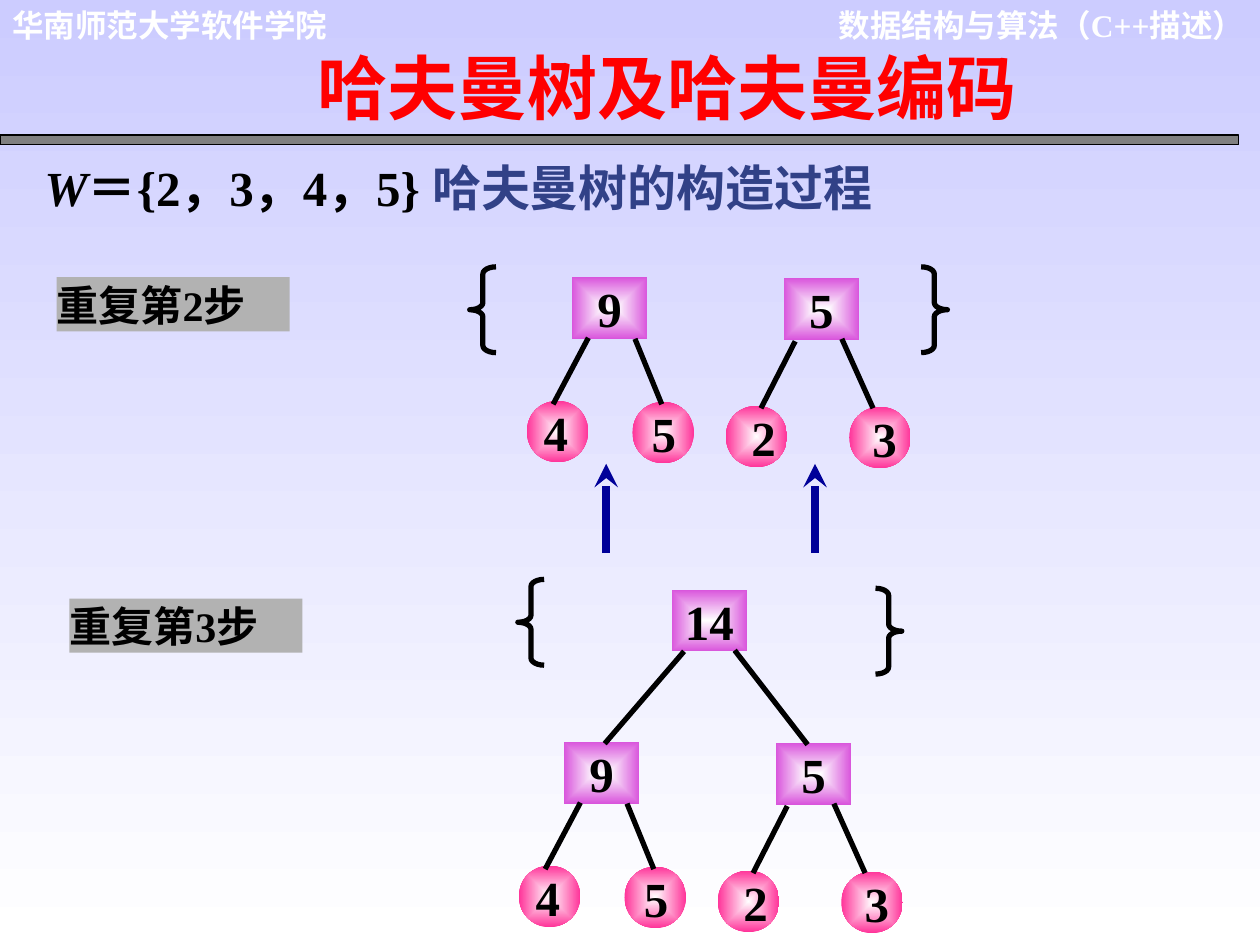
from typing import NamedTuple

from lxml import etree
from pptx import Presentation
from pptx.dml.color import RGBColor
from pptx.enum.shapes import MSO_CONNECTOR, MSO_SHAPE
from pptx.enum.text import MSO_ANCHOR, MSO_AUTO_SIZE, PP_ALIGN
from pptx.oxml.ns import qn
from pptx.util import Cm, Pt

LEFT, CENTER, RIGHT = PP_ALIGN.LEFT, PP_ALIGN.CENTER, PP_ALIGN.RIGHT
TOP, MIDDLE = MSO_ANCHOR.TOP, MSO_ANCHOR.MIDDLE
RECTANGLE, OVAL = MSO_SHAPE.RECTANGLE, MSO_SHAPE.OVAL
LEFT_BRACE, RIGHT_BRACE = MSO_SHAPE.LEFT_BRACE, MSO_SHAPE.RIGHT_BRACE
STRAIGHT = MSO_CONNECTOR.STRAIGHT
NO_AUTOFIT = MSO_AUTO_SIZE.NONE

LATIN, CHINESE = "Times New Roman", "Noto Sans CJK SC"
COLORS = {
    "sky": "CCCCFF", "white": "FFFFFF", "black": "000000", "rule": "808080",
    "label": "B2B2B2", "title": "FF0000", "topic": "314187",
    "arrow": "000099", "leaf": "FF3399", "root": "D955DC",
}


class Box(NamedTuple):
    left: float
    top: float
    width: float
    height: float


class Leaf(NamedTuple):
    value: str
    left: float
    top: float
    label_shift: float


class Edge(NamedTuple):
    x1: float
    y1: float
    x2: float
    y2: float


class Tree(NamedTuple):
    value: str
    left: float
    top: float
    leaves: tuple[Leaf, ...]
    edges: tuple[Edge, ...]


PAIR_TREES = (
    Tree("9", 11.53, 5.59,
         (Leaf("4", 10.62, 8.08, 0.05), Leaf("5", 12.75, 8.1, 0.1)),
         (Edge(11.86, 6.81, 11.15, 8.15), Edge(12.8, 6.83, 13.34, 8.15))),
    Tree("5", 15.8, 5.61,
         (Leaf("2", 14.63, 8.18, 0.23), Leaf("3", 17.12, 8.2, 0.18)),
         (Edge(16.03, 6.88, 15.34, 8.23), Edge(16.97, 6.83, 17.6, 8.23))),
)
MERGED_TREE = Tree("14", 13.54, 11.89, (),
                   (Edge(13.79, 13.13, 12.19, 14.99), Edge(14.81, 13.11, 16.28, 15.01)))
STEP_3_SHIFT = (-0.16, 9.37)


def rgb(name: str) -> RGBColor:
    return RGBColor.from_string(COLORS[name])


def set_gradient(fill, start: str, end: str) -> None:
    fill.gradient()
    for stop, name in zip(fill.gradient_stops, (start, end)):
        stop.color.rgb = rgb(name)


def style_font(font, size: float, color: str, name: str = LATIN) -> None:
    font.size, font.bold, font.name = Pt(size), True, name
    font.color.rgb = rgb(color)
    east_asian = etree.SubElement(font._element, qn("a:ea"))
    east_asian.set("typeface", CHINESE)


def place(shape, box: Box) -> None:
    shape.left, shape.top, shape.width, shape.height = map(Cm, box)


def write(shape, text: str, size: float, color: str, align=LEFT, anchor=TOP,
          font_name: str = LATIN, margins=(0.25, 0.13)) -> None:
    frame = shape.text_frame
    frame.word_wrap, frame.auto_size, frame.vertical_anchor = True, NO_AUTOFIT, anchor
    frame.margin_left = frame.margin_right = Cm(margins[0])
    frame.margin_top = frame.margin_bottom = Cm(margins[1])
    paragraph = frame.paragraphs[0]
    paragraph.text, paragraph.alignment = text, align
    paragraph.space_before = Pt(0)
    style_font(paragraph.font, size, color, font_name)


def add_text(slide, box: Box, *args, **options) -> None:
    write(slide.shapes.add_textbox(*map(Cm, box)), *args, **options)


def add_plain_shape(slide, kind, box: Box):
    shape = slide.shapes.add_shape(kind, *map(Cm, box))
    shape.shadow.inherit = False
    shape.line.fill.background()
    return shape


def add_solid(slide, box: Box, color: str):
    shape = add_plain_shape(slide, RECTANGLE, box)
    shape.fill.solid()
    shape.fill.fore_color.rgb = rgb(color)
    return shape


def add_glowing(slide, kind, box: Box, color: str):
    """Add a shape that fades from a white centre to its colour."""
    shape = add_plain_shape(slide, kind, box)
    set_gradient(shape.fill, "white", color)
    gradient = shape._element.spPr.find(qn("a:gradFill"))
    gradient.remove(gradient.find(qn("a:lin")))
    radial = etree.SubElement(gradient, qn("a:path"), {"path": "rect"})
    etree.SubElement(radial, qn("a:fillToRect"), dict.fromkeys("ltrb", "50000"))
    return shape


def add_line(slide, edge: Edge, color: str = "black", width: float = 3, arrow: bool = False) -> None:
    connector = slide.shapes.add_connector(STRAIGHT, *map(Cm, edge))
    connector.line.color.rgb = rgb(color)
    connector.line.width = Pt(width)
    if arrow:
        etree.SubElement(connector.line._get_or_add_ln(), qn("a:tailEnd"), {"type": "stealth"})
    etree.SubElement(connector._element.spPr, qn("a:effectLst"))


def add_brace(slide, kind, left: float, top: float) -> None:
    brace = add_plain_shape(slide, kind, Box(left, top, 0.53, 1.73))
    brace.adjustments[0] = 0.27
    brace.fill.background()
    brace.line.color.rgb = rgb("black")
    brace.line.width = Pt(3)


def add_tree(slide, tree: Tree, shift: tuple[float, float] = (0, 0)) -> None:
    dx, dy = shift
    root = add_glowing(slide, RECTANGLE, Box(tree.left + dx, tree.top + dy, 1.52, 1.24), "root")
    write(root, tree.value, 28, "black", CENTER, MIDDLE, margins=(0, 0))
    for leaf in tree.leaves:
        left, top = leaf.left + dx, leaf.top + dy
        add_glowing(slide, OVAL, Box(left, top, 1.24, 1.24), "leaf")
        add_text(slide, Box(left + leaf.label_shift, top + 0.04, 1.07, 1.45),
                 leaf.value, 28, "black", CENTER, margins=(0, 0))
    for x1, y1, x2, y2 in tree.edges:
        add_line(slide, Edge(x1 + dx, y1 + dy, x2 + dx, y2 + dy))


def fill_formula(body) -> None:
    place(body, Box(0.64, 3.05, 23.5, 1.45))
    frame = body.text_frame
    frame.auto_size = NO_AUTOFIT
    paragraph = frame.paragraphs[0]
    properties = paragraph._p.get_or_add_pPr()
    properties.set("marL", "0")
    properties.set("indent", "0")
    etree.SubElement(properties, qn("a:buNone"))
    paragraph.space_before = Pt(0)
    for text, color in (("W", "black"), ("＝{2，3，4，5} ", "black"), ("哈夫曼树的构造过程", "topic")):
        run = paragraph.add_run()
        run.text = text
        run.font.italic = text == "W"
        style_font(run.font, 28, color)


def main() -> None:
    presentation = Presentation()
    presentation.slide_width, presentation.slide_height = Cm(25.4), Cm(19.05)
    slide = presentation.slides.add_slide(presentation.slide_layouts[1])
    set_gradient(slide.background.fill, "sky", "white")
    slide.background.fill.gradient_angle = 270

    # Header
    add_text(slide, Box(15.93, 0, 9.4, 1.02), "数据结构与算法（C++描述）", 18, "white", RIGHT)
    add_text(slide, Box(0, 0, 6.88, 1.02), "华南师范大学软件学院", 18, "white", font_name="Arial")
    rule = add_solid(slide, Box(0, 2.72, 24.97, 0.2), "rule")
    rule.line.color.rgb = rgb("black")
    rule.line.width = Pt(0.75)

    # Title and formula
    title, body = slide.placeholders
    place(title, Box(3.66, 0.76, 19.58, 1.96))
    write(title, "哈夫曼树及哈夫曼编码", 40, "title", CENTER)
    fill_formula(body)

    # Step labels
    for text, left, top in (("重复第2步", 1.14, 5.59), ("重复第3步", 1.4, 12.07)):
        label = add_solid(slide, Box(left, top, 4.7, 1.09), "label")
        write(label, text, 24, "black", anchor=MIDDLE, margins=(0, 0))

    # Trees of both steps
    for shift in ((0, 0), STEP_3_SHIFT):
        for tree in PAIR_TREES:
            add_tree(slide, tree, shift)
    add_tree(slide, MERGED_TREE)

    # Set braces
    for kind, left, top in ((LEFT_BRACE, 9.47, 5.38), (RIGHT_BRACE, 18.57, 5.38),
                            (LEFT_BRACE, 10.44, 11.68), (RIGHT_BRACE, 17.65, 11.86)):
        add_brace(slide, kind, left, top)

    # Arrows between the steps
    for x in (12.22, 16.43):
        add_line(slide, Edge(x, 11.15, x, 9.35), "arrow", 4.5, arrow=True)

    presentation.save("out.pptx")


if __name__ == "__main__":
    main()
